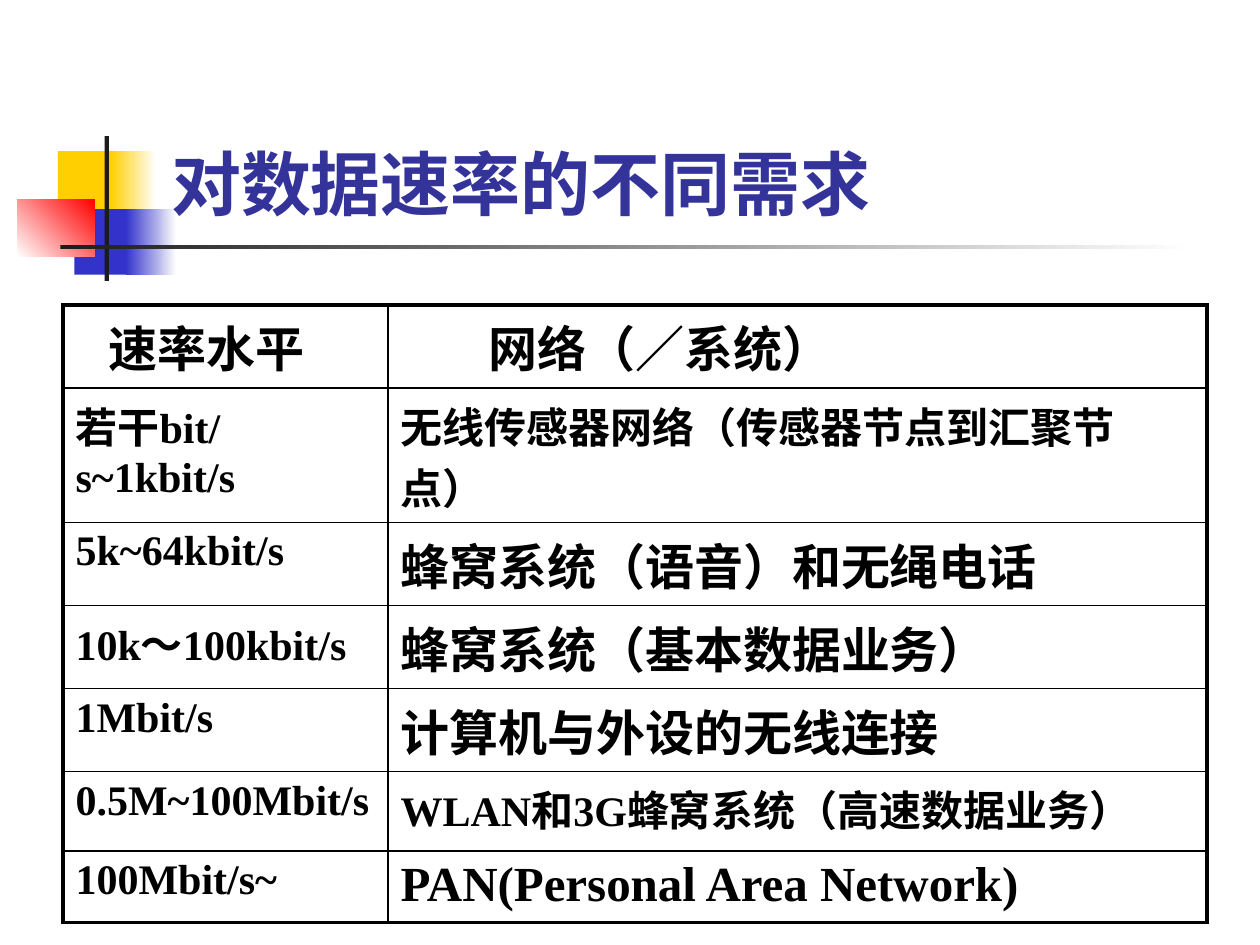
"""Build the slide on data rate requirements of wireless networks."""
import pptx
import pptx.dml.color
import pptx.enum.shapes
import pptx.enum.text
import pptx.oxml
import pptx.oxml.ns
import pptx.util

deck = pptx.Presentation()
deck.slide_width = pptx.util.Inches(10)
deck.slide_height = pptx.util.Inches(7.5)
slide = deck.slides.add_slide(deck.slide_layouts[6])


def color(hex_code):
    """Turn a hex string into a color."""
    return pptx.dml.color.RGBColor.from_string(hex_code)


def share(left, top, width, height):
    """Turn percentages of the slide into lengths."""
    across, down = deck.slide_width / 100, deck.slide_height / 100
    return [int(left * across), int(top * down), int(width * across), int(height * down)]


emblem = [
    ((4.6, 16, 4.8, 6.93), ["FFCF01"], 0),
    ((8.8, 16, 3.6, 6.93), ["FFCF01", "FFFFFF"], 0),
    ((5.9, 22.13, 4.6, 6.93), ["3333CC"], 0),
    ((10, 22.13, 4, 6.93), ["3333CC", "FFFFFF"], 0),
    ((1.4, 21.07, 6.1, 6.13), ["FFFFFF", "FF0000"], 45),
    ((8.3, 14.4, 0.35, 15.33), ["1C1C1C"], 0),
    ((4.8, 25.95, 90, 0.45), ["1C1C1C", "FFFFFF"], 0),
]
for area, shades, angle in emblem:
    block = slide.shapes.add_shape(pptx.enum.shapes.MSO_SHAPE.RECTANGLE, *share(*area))
    block.shadow.inherit = False
    block.line.fill.background()
    if len(shades) == 1:
        block.fill.solid()
        block.fill.fore_color.rgb = color(shades[0])
    else:
        block.fill.gradient()
        block.fill.gradient_angle = angle
        for position, (stop, shade) in enumerate(zip(block.fill.gradient_stops, shades)):
            stop.position = position
            stop.color.rgb = color(shade)

title = slide.shapes.add_textbox(*share(12.6, 3.07, 85.2, 21.33)).text_frame
title.word_wrap = True
title.vertical_anchor = pptx.enum.text.MSO_ANCHOR.BOTTOM
heading = title.paragraphs[0]
heading.text = "对数据速率的不同需求"
heading.font.name = "Roboto"
heading.font.size = pptx.util.Pt(40)
heading.font.bold = True
heading.font.color.rgb = color("333399")

SANS, SERIF = "Roboto", "Times New Roman"
rates = [
    (8.8, ("速率水平", SANS, 28), ("网络（／系统）", SANS, 28)),
    (14.2, ("若干bit/s~1kbit/s", SERIF, 24), ("无线传感器网络（传感器节点到汇聚节点）", SANS, 24)),
    (8.8, ("5k~64kbit/s", SERIF, 24), ("蜂窝系统（语音）和无绳电话", SANS, 28)),
    (8.8, ("10k～100kbit/s", SERIF, 24), ("蜂窝系统（基本数据业务）", SANS, 28)),
    (8.8, ("1Mbit/s", SERIF, 24), ("计算机与外设的无线连接", SANS, 28)),
    (8.4, ("0.5M~100Mbit/s", SERIF, 24), ("WLAN和3G蜂窝系统（高速数据业务）", SERIF, 24)),
    (7, ("100Mbit/s~", SERIF, 24), ("PAN(Personal Area Network)", SERIF, 28)),
]
table_height = sum(height for height, *_ in rates)
table = slide.shapes.add_table(len(rates), 2, *share(5, 32.27, 90.8, table_height)).table
table.first_row = table.horz_banding = False
for column, width in zip(table.columns, (25.8, 65)):
    column.width = int(deck.slide_width * width / 100)

last = len(rates) - 1
for row, (height, *entries) in enumerate(rates):
    table.rows[row].height = int(deck.slide_height * height / 100)
    for col, (wording, face, size) in enumerate(entries):
        cell = table.cell(row, col)
        cell.fill.background()
        if row == 0:
            cell.margin_left = pptx.util.Inches((0.36, 0.8)[col])
        entry = cell.text_frame.paragraphs[0]
        entry.text = wording
        entry.font.name = face
        entry.font.size = pptx.util.Pt(size)
        entry.font.bold = True
        entry.font.color.rgb = color("000000")
        outer_sides = {"L": col == 0, "R": col == 1, "T": row == 0, "B": row == last}
        properties = cell._tc.get_or_add_tcPr()
        for order, (side, outer) in enumerate(outer_sides.items()):
            border = pptx.oxml.parse_xml(
                f'<a:ln{side} {pptx.oxml.ns.nsdecls("a")} w="{pptx.util.Pt(2.25 if outer else 1)}">'
                f'<a:solidFill><a:srgbClr val="000000"/></a:solidFill></a:ln{side}>'
            )
            properties.insert(order, border)

deck.save("out.pptx")
